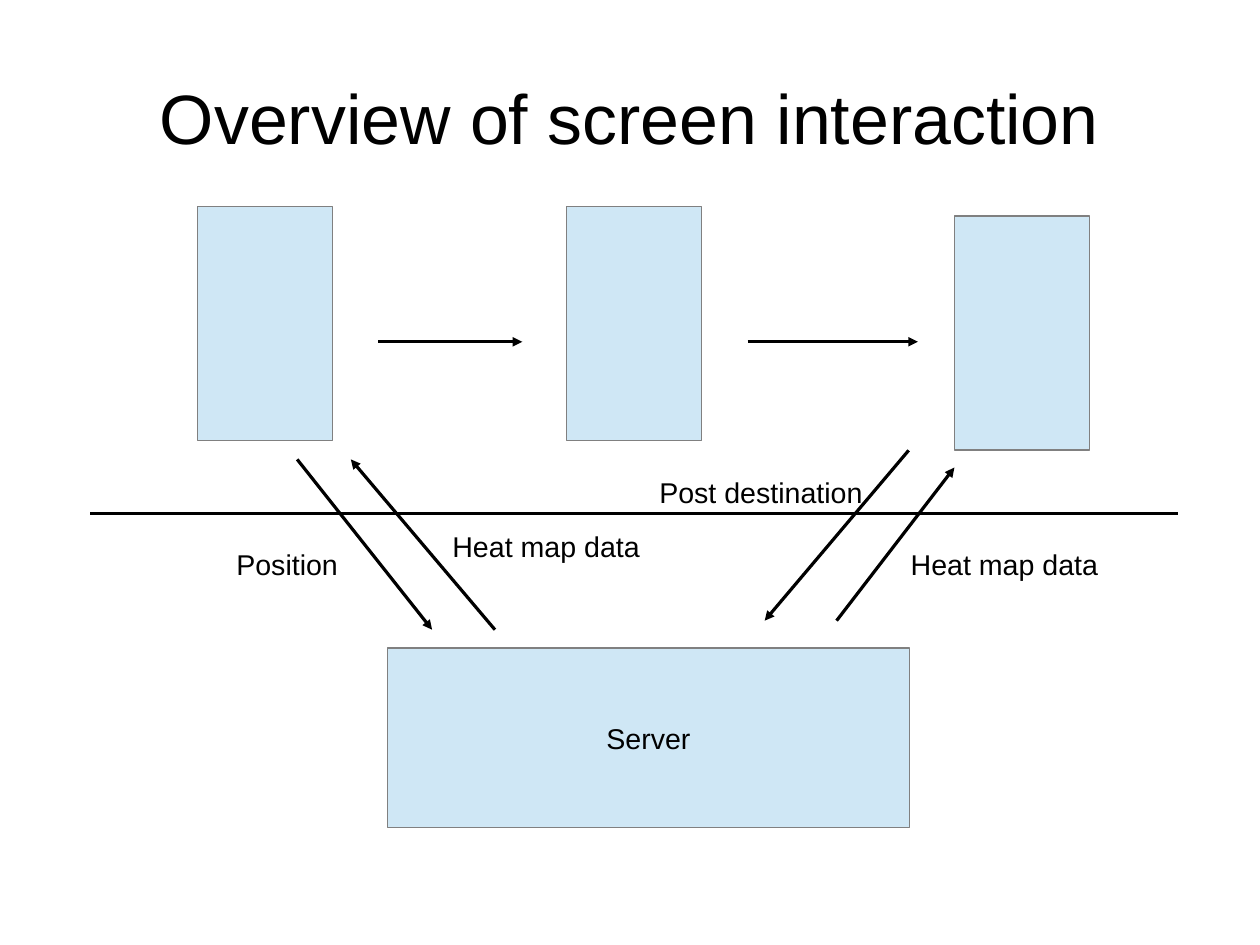
from typing import NamedTuple

from lxml.etree import SubElement
from pptx import Presentation
from pptx.dml.color import RGBColor
from pptx.enum.shapes import MSO_CONNECTOR, MSO_SHAPE
from pptx.enum.text import MSO_ANCHOR, PP_ALIGN
from pptx.oxml.ns import qn
from pptx.shapes.autoshape import Shape
from pptx.shapes.shapetree import SlideShapes
from pptx.util import Pt

BLACK = RGBColor(0x00, 0x00, 0x00)
GREY = RGBColor(0x80, 0x80, 0x80)
PALE_BLUE = RGBColor(0xCF, 0xE7, 0xF5)
FONT = "Arial"
BODY_SIZE = 18
TITLE_SIZE = 44
SCREEN_WIDTH, SCREEN_HEIGHT = 85, 147.4
LABEL_HEIGHT = 27.4


class Box(NamedTuple):
    left: float
    top: float
    width: float
    height: float


class Label(NamedTuple):
    text: str
    box: Box


class Line(NamedTuple):
    x1: float
    y1: float
    x2: float
    y2: float
    arrow: bool = True


TITLE = Label("Overview of screen interaction", Box(39.7, 23.7, 714.3, 99.4))
SERVER = Label("Server", Box(244, 408.2, 329, 113))
SCREENS = [
    Box(left, top, SCREEN_WIDTH, SCREEN_HEIGHT)
    for left, top in ((124.6, 130.3), (357.1, 130.3), (601.2, 136.1))
]
LINES = [
    Line(238.3, 215.3, 329, 215.3),
    Line(470.9, 215.3, 578.2, 215.3),
    Line(56.9, 323.3, 742.3, 323.3, arrow=False),
    Line(187.2, 289.4, 272.2, 396.7),
    Line(311.8, 396.7, 221, 289.4),
    Line(572.4, 283.7, 481.7, 391),
    Line(527, 391, 601.2, 294.5),
]
LABELS = [
    Label("Position", Box(141.8, 341.3, 153.4, LABEL_HEIGHT)),
    Label("Heat map data", Box(277.9, 329.8, 175.7, LABEL_HEIGHT)),
    Label("Heat map data", Box(566.6, 341.3, 175.7, LABEL_HEIGHT)),
    Label("Post destination", Box(408.2, 295.9, 147.6, LABEL_HEIGHT)),
]


def write_text(
    shape: Shape, text: str, size: float, align: PP_ALIGN, anchor: MSO_ANCHOR
) -> None:
    frame = shape.text_frame
    frame.word_wrap = True
    frame.vertical_anchor = anchor
    paragraph = frame.paragraphs[0]
    paragraph.alignment = align
    run = paragraph.add_run()
    run.text = text
    run.font.name = FONT
    run.font.size = Pt(size)
    run.font.color.rgb = BLACK


def add_title(shapes: SlideShapes, title: Label) -> None:
    textbox = shapes.add_textbox(*map(Pt, title.box))
    frame = textbox.text_frame
    frame.margin_left = frame.margin_right = Pt(0)
    frame.margin_top = frame.margin_bottom = Pt(0)
    write_text(textbox, title.text, TITLE_SIZE, PP_ALIGN.CENTER, MSO_ANCHOR.MIDDLE)


def add_label(shapes: SlideShapes, label: Label) -> None:
    textbox = shapes.add_textbox(*map(Pt, label.box))
    write_text(textbox, label.text, BODY_SIZE, PP_ALIGN.LEFT, MSO_ANCHOR.TOP)


def add_box(shapes: SlideShapes, box: Box) -> Shape:
    rectangle = shapes.add_shape(MSO_SHAPE.RECTANGLE, *map(Pt, box))
    rectangle.shadow.inherit = False
    rectangle.fill.solid()
    rectangle.fill.fore_color.rgb = PALE_BLUE
    rectangle.line.color.rgb = GREY
    rectangle.line.width = Pt(0)
    return rectangle


def add_line(shapes: SlideShapes, line: Line) -> None:
    connector = shapes.add_connector(
        MSO_CONNECTOR.STRAIGHT, Pt(line.x1), Pt(line.y1), Pt(line.x2), Pt(line.y2)
    )
    connector.line.color.rgb = BLACK
    connector.line.width = Pt(0)
    properties = connector._element.spPr
    if line.arrow:
        SubElement(properties.find(qn("a:ln")), qn("a:tailEnd"), type="triangle")
    SubElement(properties, qn("a:effectLst"))


def main() -> None:
    presentation = Presentation()
    presentation.slide_width = Pt(793.7)
    presentation.slide_height = Pt(595.3)
    shapes = presentation.slides.add_slide(presentation.slide_layouts[6]).shapes

    add_title(shapes, TITLE)
    for screen in SCREENS:
        add_box(shapes, screen)
    server = add_box(shapes, SERVER.box)
    write_text(server, SERVER.text, BODY_SIZE, PP_ALIGN.CENTER, MSO_ANCHOR.MIDDLE)
    for line in LINES:
        add_line(shapes, line)
    for label in LABELS:
        add_label(shapes, label)

    presentation.save("out.pptx")


if __name__ == "__main__":
    main()
